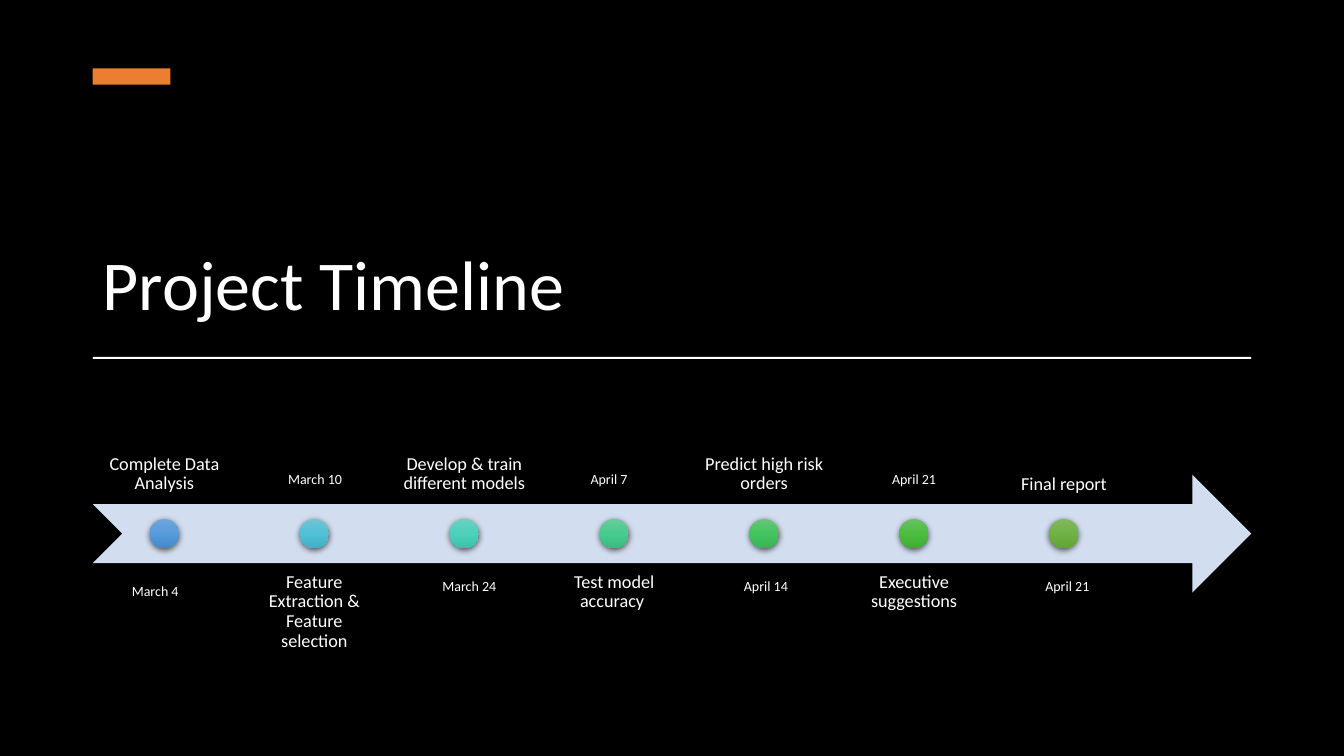
from dataclasses import dataclass

from lxml.etree import SubElement
from pptx import Presentation
from pptx.dml.color import RGBColor
from pptx.enum.shapes import MSO_SHAPE as Shape
from pptx.enum.text import MSO_ANCHOR as Anchor, MSO_AUTO_SIZE as AutoSize, PP_ALIGN as Align
from pptx.oxml.ns import qn
from pptx.util import Inches, Pt

# Content
TITLE = "Project Timeline"
# (task, date, date left, date top, dot gradient from top to bottom)
MILESTONES = [
    ("Complete Data Analysis", "March 4", 1.21, 5.73, ("71A6DB", "559BDB", "448ACA")),
    ("Feature Extraction & Feature selection", "March 10", 2.76, 4.62, ("6EC4D6", "50C0D6", "40AFC5")),
    ("Develop & train different models", "March 24", 4.29, 5.68, ("6AD1C0", "4CD0BC", "3CC0AC")),
    ("Test model accuracy ", "April 7", 5.76, 4.62, ("67CC9A", "47CB8E", "39BB7F")),
    ("Predict high risk orders", "April 14", 7.28, 5.68, ("64C677", "44C460", "36B552")),
    ("Executive suggestions", "April 21", 8.75, 4.62, ("69C062", "4CBD41", "3FAD34")),
    ("Final report", "April 21", 10.27, 5.68, ("81B861", "6FB242", "62A336")),
]


@dataclass(frozen=True)
class Theme:
    font: str = "Calibri"
    background: str = "000000"
    text: str = "FFFFFF"
    accent: str = "ED7D31"
    arrow: str = "D2DEEF"
    shadow: str = "000000"
    title_size: int = 50
    task_size: int = 13
    date_size: int = 10


THEME = Theme()

# Layout in inches
LEFT, WIDTH = 0.92, 11.49
ARROW_TOP, ARROW_H = 4.71, 1.17
TASK_W, TASK_H = 1.42, 1.17
TASK_ABOVE, TASK_BELOW = 3.83, 5.58
STEP = 1.487
DOT = 0.29


def box(left, top, width, height):
    return [Inches(v) for v in (left, top, width, height)]


def add_shape(shapes, kind, *place, color=None):
    s = shapes.add_shape(kind, *box(*place))
    s.shadow.inherit = False
    s.line.fill.background()
    if color:
        s.fill.solid()
        s.fill.fore_color.rgb = RGBColor.from_string(color)
    return s


def add_color(parent, color, alpha=None):
    clr = SubElement(parent, qn("a:srgbClr"), val=color)
    if alpha:
        SubElement(clr, qn("a:alpha"), val=str(alpha * 1000))


def add_dot(shapes, left, top, colors):
    s = add_shape(shapes, Shape.OVAL, left, top, DOT, DOT)
    s.fill.gradient()
    grad = s.element.spPr.find(qn("a:gradFill"))
    for child in list(grad):
        grad.remove(child)
    stops = SubElement(grad, qn("a:gsLst"))
    for pos, color in zip((0, 50, 100), colors):
        add_color(SubElement(stops, qn("a:gs"), pos=str(pos * 1000)), color)
    SubElement(grad, qn("a:lin"), ang="5400000", scaled="0")
    effects = s.element.spPr.find(qn("a:effectLst"))
    shadow = SubElement(effects, qn("a:outerShdw"), blurRad=str(Pt(4.5)), dist=str(Pt(1.5)),
                        dir="5400000", algn="ctr", rotWithShape="0")
    add_color(shadow, THEME.shadow, 63)


def write(tf, text, size, align=Align.LEFT, anchor=Anchor.TOP, spacing=None):
    tf.word_wrap = True
    tf.vertical_anchor = anchor
    p = tf.paragraphs[0]
    p.alignment = align
    p.line_spacing = spacing
    r = p.add_run()
    r.text = text
    r.font.name = THEME.font
    r.font.size = Pt(size)
    r.font.color.rgb = RGBColor.from_string(THEME.text)


def add_task(shapes, left, above, text):
    top = TASK_ABOVE if above else TASK_BELOW
    tf = shapes.add_textbox(*box(left, top, TASK_W, TASK_H)).text_frame
    tf.margin_top = tf.margin_bottom = Inches(0.1)
    write(tf, text, THEME.task_size, Align.CENTER, Anchor.BOTTOM if above else Anchor.TOP, 0.9)


def main():
    prs = Presentation()
    prs.slide_width, prs.slide_height = Inches(13.33), Inches(7.5)
    slide = prs.slides.add_slide(prs.slide_layouts[5])
    slide.background.fill.solid()
    slide.background.fill.fore_color.rgb = RGBColor.from_string(THEME.background)

    # Title
    title = slide.shapes.title
    title.left, title.top, title.width, title.height = box(LEFT, 1.03, WIDTH, 2.25)
    title.text_frame.auto_size = AutoSize.NONE
    write(title.text_frame, TITLE, THEME.title_size, anchor=Anchor.BOTTOM, spacing=0.9)

    # Accent bar and rule
    add_shape(slide.shapes, Shape.RECTANGLE, LEFT, 0.68, 0.77, 0.16, color=THEME.accent)
    add_shape(slide.shapes, Shape.RECTANGLE, LEFT, 3.54, WIDTH, 0.02, color=THEME.text)

    # Timeline: tasks alternate above and below the arrow
    timeline = slide.shapes.add_group_shape().shapes
    add_shape(timeline, Shape.NOTCHED_RIGHT_ARROW, LEFT, ARROW_TOP, WIDTH, ARROW_H, color=THEME.arrow)
    for i, (task, _, _, _, colors) in enumerate(MILESTONES):
        left = LEFT + i * STEP
        add_task(timeline, left, i % 2 == 0, task)
        add_dot(timeline, left + (TASK_W - DOT) / 2, ARROW_TOP + (ARROW_H - DOT) / 2, colors)

    # Dates
    for _, date, left, top, _ in MILESTONES:
        tf = slide.shapes.add_textbox(*box(left, top, 0.96, 0.27)).text_frame
        tf.auto_size = AutoSize.SHAPE_TO_FIT_TEXT
        write(tf, date, THEME.date_size)

    prs.save("out.pptx")


if __name__ == "__main__":
    main()
